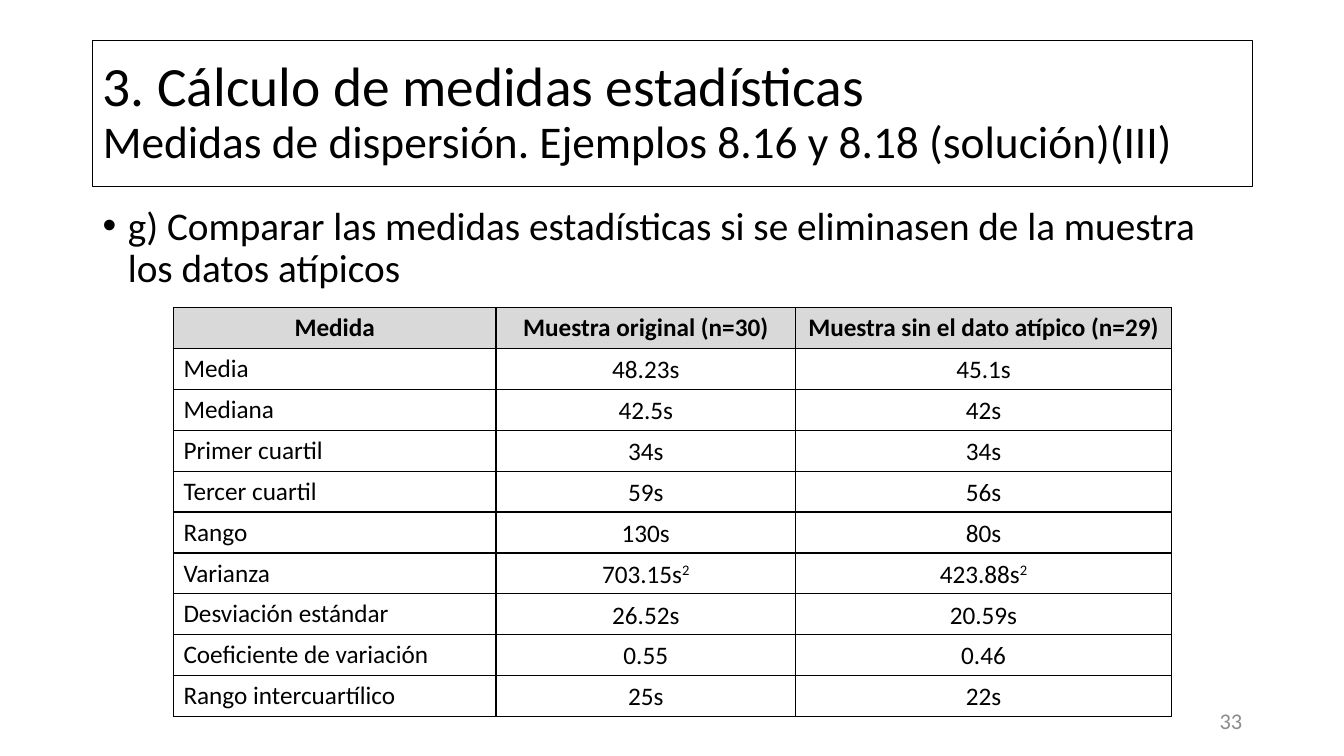
from lxml import etree
from pptx import Presentation
from pptx.dml.color import RGBColor
from pptx.enum.text import MSO_ANCHOR as ANCHOR, PP_ALIGN as ALIGN
from pptx.oxml import parse_xml
from pptx.oxml.ns import nsdecls, qn
from pptx.util import Inches, Pt

BLACK, HEADER_GRAY, NUMBER_GRAY = "000000", "D9D9D9", "8C8C8C"


def color(value):
    return RGBColor.from_string(value)


def add_run(paragraph, text, size, hue=BLACK, bold=False):
    run = paragraph.add_run()
    run.text = text
    formats = {"name": "Calibri", "size": Pt(size), "bold": bold}
    for name, value in formats.items():
        setattr(run.font, name, value)
    run.font.color.rgb = color(hue)
    return run


presentation = Presentation()
presentation.slide_width = Inches(13.33)
presentation.slide_height = Inches(7.5)
slide = presentation.slides.add_slide(presentation.slide_layouts[5])

# Title
title = slide.shapes.title
title.left, title.top = Inches(0.92), Inches(0.4)
title.width, title.height = Inches(11.5), Inches(1.45)
title.line.color.rgb = color(BLACK)
title.line.width = Pt(0.75)
title.text_frame.vertical_anchor = ANCHOR.MIDDLE
paragraph = title.text_frame.paragraphs[0]
paragraph.alignment = ALIGN.LEFT
paragraph.line_spacing = 0.9
add_run(paragraph, "3. Cálculo de medidas estadísticas", 39.6)
paragraph.add_line_break()
add_run(paragraph, "Medidas de dispersión. Ejemplos 8.16 y 8.18 (solución)(III)", 32.4)

# Question
question = slide.shapes.add_textbox(Inches(0.92), Inches(2), Inches(11.5), Inches(4.76))
question.text_frame.word_wrap = True
paragraph = question.text_frame.paragraphs[0]
paragraph.line_spacing = 0.9
properties = paragraph._p.get_or_add_pPr()
properties.set("marL", str(Inches(0.25)))
properties.set("indent", str(Inches(-0.25)))
etree.SubElement(properties, qn("a:buFont")).set("typeface", "Arial")
etree.SubElement(properties, qn("a:buChar")).set("char", "•")
add_run(paragraph, "g) Comparar las medidas estadísticas si se eliminasen de la muestra "
        "los datos atípicos", 28)

# Comparison table
rows = [
    ("Medida", "Muestra original (n=30)", "Muestra sin el dato atípico (n=29)"),
    ("Media", "48.23s", "45.1s"),
    ("Mediana", "42.5s", "42s"),
    ("Primer cuartil", "34s", "34s"),
    ("Tercer cuartil", "59s", "56s"),
    ("Rango", "130s", "80s"),
    ("Varianza", "703.15s²", "423.88s²"),
    ("Desviación estándar", "26.52s", "20.59s"),
    ("Coeficiente de variación", "0.55", "0.46"),
    ("Rango intercuartílico", "25s", "22s"),
]
table = slide.shapes.add_table(len(rows), 3, Inches(1.72), Inches(3.05),
                               Inches(9.9), Inches(4.06)).table
table.horz_banding = False
for column, width in zip(table.columns, (3.2, 2.97, 3.73)):
    column.width = Inches(width)

value_format = {"margin_left": Inches(0.07), "margin_right": Inches(0.07),
                "margin_top": 0, "margin_bottom": 0}
for row_index, texts in enumerate(rows):
    is_header = row_index == 0
    for column_index, text in enumerate(texts):
        cell = table.cell(row_index, column_index)
        paragraph = cell.text_frame.paragraphs[0]
        is_value = column_index > 0 and not is_header
        paragraph.alignment = ALIGN.CENTER if is_header or is_value else ALIGN.LEFT
        if not is_header:
            cell.vertical_anchor = ANCHOR.MIDDLE
        if is_value:
            paragraph.line_spacing = 1.07
            paragraph.space_after = Pt(8)
            for name, value in value_format.items():
                setattr(cell, name, value)
        add_run(paragraph, text.removesuffix("²"), 18, bold=is_header)
        if text.endswith("²"):
            exponent = add_run(paragraph, "2", 18)
            exponent.font._element.set("baseline", "30000")
        for side in ("lnL", "lnR", "lnT", "lnB"):
            cell._tc.get_or_add_tcPr().append(parse_xml(
                f'<a:{side} {nsdecls("a")} w="{Pt(1)}"><a:solidFill>'
                f'<a:srgbClr val="{BLACK}"/></a:solidFill></a:{side}>'))
        if is_header:
            cell.fill.solid()
            cell.fill.fore_color.rgb = color(HEADER_GRAY)
        else:
            cell.fill.background()

# Setting the heights last keeps every row equal
for row in table.rows:
    row.height = Inches(4.06 / len(rows))

# Slide number
number = slide.shapes.add_textbox(Inches(9.42), Inches(6.95), Inches(3), Inches(0.4))
number.text_frame.word_wrap = True
number.text_frame.vertical_anchor = ANCHOR.MIDDLE
paragraph = number.text_frame.paragraphs[0]
paragraph.alignment = ALIGN.RIGHT
add_run(paragraph, "33", 16, NUMBER_GRAY)

presentation.save("out.pptx")
